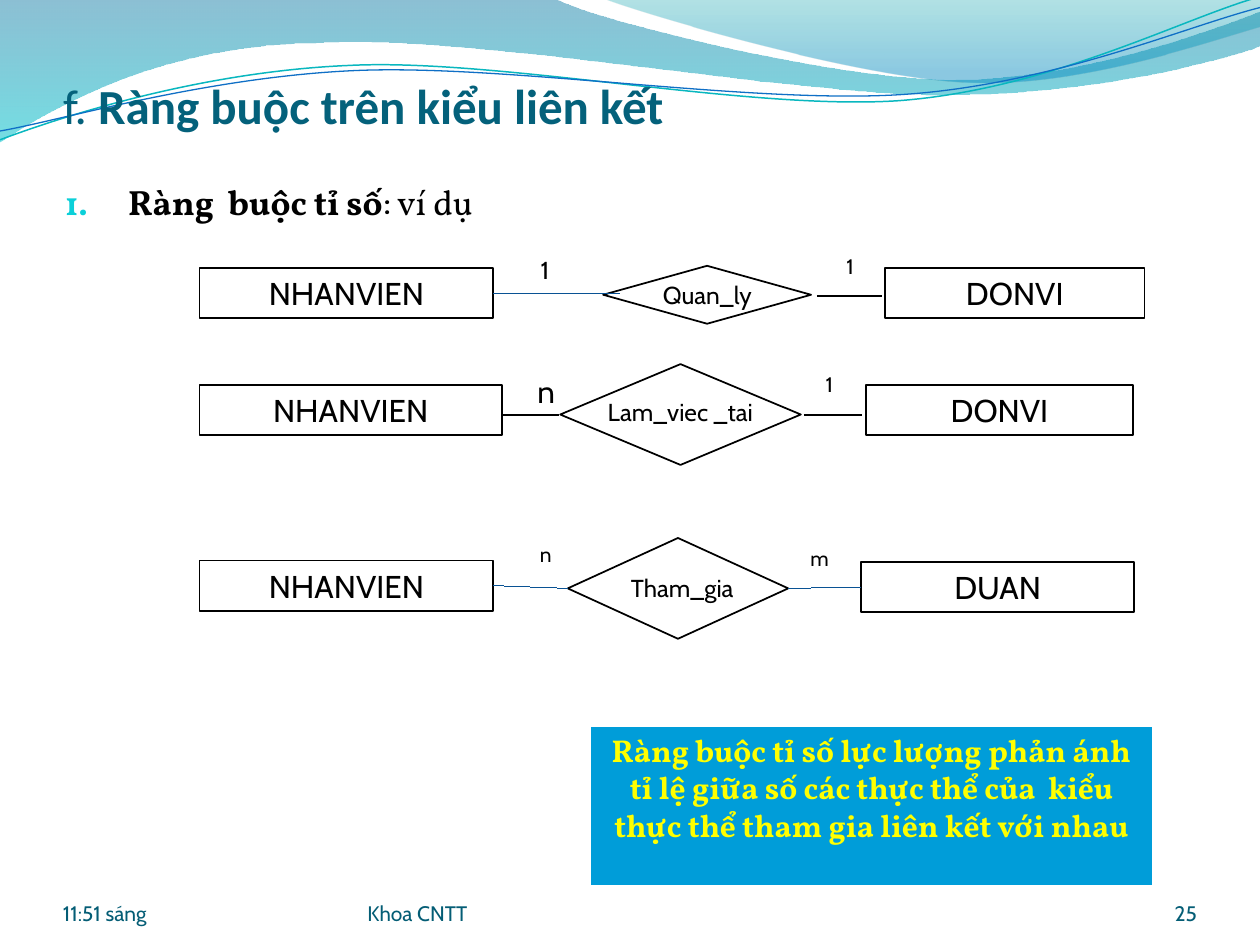
import pptx
import pptx.dml.color
import pptx.enum.shapes
import pptx.enum.text
import pptx.oxml.ns
import pptx.util
from lxml import etree

COLORS = {
    "black": "000000", "white": "FFFFFF", "title": "04617B", "footer": "045D75",
    "number": "0BD0D9", "thin": "095294", "note": "009DD9", "yellow": "FFFF00",
    "wave_blue": "0074A0", "wave_cyan": "00C4CD", "wave_teal": "00A0A8",
    "wave_sky": "008ABF", "curve_teal": "09B7BF", "curve_blue": "0F6FC6",
}
CELL = pptx.util.Inches(0.1)  # the slide is a grid of 100 columns by 75 rows
COLUMNS, ROWS = 100, 75
HAIRLINE = 0.01
ALIGN = pptx.enum.text.PP_ALIGN
ANCHOR = pptx.enum.text.MSO_ANCHOR
SHAPE = pptx.enum.shapes.MSO_SHAPE
LEFT, RIGHT = 1, 3  # connection sites
qn = pptx.oxml.ns.qn

# Waves: a start point, then lines (one point) and Bezier curves (three points)
BIG_WAVE = [(0, -0.1), [(44, -0.1)], [(47.6, 1.7), (66.4, 6.3), (75.8, 6.3)],
            [(85.3, 6.3), (95.8, 2.6), (100, 0.9)], [(100.1, 3.6)],
            [(98.3, 4.4), (87, 7.6), (74.6, 7.5)],
            [(62.2, 7.5), (38.2, 2.8), (25.7, 3.4)],
            [(12.9, 3.5), (4.6, 8.3), (-0.1, 11.3)]]
SMALL_WAVE = [(47.9, -0.1), [(50.9, 1.1), (68.2, 6.2), (76.9, 6.5)],
              [(85.6, 6.9), (96.1, 3.2), (100, 2.1)], [(100, 0)]]
TEAL_CURVE = [(0, 11.1), [(4.8, 9.3), (15.8, 5.7), (27.7, 5.2)],
              [(39.5, 4.6), (59.3, 8.8), (71.3, 8)],
              [(83.3, 7.1), (93.8, 1.5), (99.8, -0.2)]]
BLUE_CURVE = [(0, 10.4), [(4.7, 9.6), (16.4, 6.1), (28.3, 5.6)],
              [(40.3, 5.1), (59.7, 8.3), (71.7, 7.5)],
              [(83.6, 6.7), (94.1, 2.1), (100, 0.6)]]


def grid(*values):
    return [round(value * CELL) for value in values]


def rgb(name):
    return pptx.dml.color.RGBColor.from_string(COLORS[name])


def write(shape, text, size, font="Cabin", color="black", bold=False,
          align=ALIGN.CENTER, anchor=ANCHOR.TOP, margins=(1, 0.5, 1, 0.5)):
    """Write one paragraph; text is a string or a list of (text, bold) runs."""
    frame = shape.text_frame
    frame.word_wrap = True
    frame.auto_size = pptx.enum.text.MSO_AUTO_SIZE.NONE
    frame.vertical_anchor = anchor
    (frame.margin_left, frame.margin_top,
     frame.margin_right, frame.margin_bottom) = grid(*margins)
    paragraph = frame.paragraphs[0]
    paragraph.alignment = align
    paragraph.space_before = pptx.util.Pt(0)
    for words, is_bold in [(text, bold)] if isinstance(text, str) else text:
        run = paragraph.add_run()
        run.text = words
        run.font.name = font
        run.font.size = pptx.util.Pt(size)
        run.font.bold = is_bold
        run.font.color.rgb = rgb(color)
    return paragraph


def add_label(slide, box, text, size, **style):
    return write(slide.shapes.add_textbox(*grid(*box)), text, size, **style)


def add_box(slide, kind, box, fill=None, line="black", width=1):
    shape = slide.shapes.add_shape(kind, *grid(*box))
    shape.shadow.inherit = False
    if fill:
        shape.fill.solid()
        shape.fill.fore_color.rgb = rgb(fill)
    else:
        shape.fill.background()
    shape.line.color.rgb = rgb(line)
    shape.line.width = pptx.util.Pt(width)
    return shape


def add_link(slide, ends, color, width, begin=None, end=None):
    connector = slide.shapes.add_connector(
        pptx.enum.shapes.MSO_CONNECTOR.STRAIGHT, *grid(*ends))
    if begin is not None:
        connector.begin_connect(begin, RIGHT)
    if end is not None:
        connector.end_connect(end, LEFT)
    connector.line.color.rgb = rgb(color)
    connector.line.width = pptx.util.Pt(width)
    etree.SubElement(connector.element.spPr, qn("a:effectLst"))


def build_outline(slide, outline):
    """Build a freeform and join each three-point segment into a Bezier curve."""
    start, *segments = outline
    builder = slide.shapes.build_freeform(*grid(*start))
    points = [grid(*point) for segment in segments for point in segment]
    builder.add_line_segments(points, close=False)
    shape = builder.convert_to_shape()
    lines = iter(list(shape.element.spPr.iter(qn("a:lnTo"))))
    for segment in segments:
        first, *others = [next(lines) for _ in segment]
        if others:
            first.tag = qn("a:cubicBezTo")
        for other in others:
            first.append(other[0])
            other.getparent().remove(other)
    return shape


def add_wave(slide, outline, stops=None, line=None, width=0):
    """Draw a wave filled with (colour, position, opacity) stops, or a bare curve."""
    shape = build_outline(slide, outline)
    shape.shadow.inherit = False
    if not stops:
        shape.fill.background()
        shape.line.color.rgb = rgb(line)
        shape.line.width = pptx.util.Pt(width)
        return
    shape.fill.gradient()
    shape.fill.gradient_angle = 270
    for stop, (color, position, _) in zip(shape.fill.gradient_stops, stops):
        stop.color.rgb = rgb(color)
        stop.position = position
    color_elements = list(shape.element.spPr.iter(qn("a:srgbClr")))
    for element, (_, _, opacity) in zip(color_elements, stops):
        etree.SubElement(element, qn("a:alpha"), val=str(opacity * 1000))
    shape.line.fill.background()


def add_numbering(paragraph, color, percent):
    properties = paragraph._p.get_or_add_pPr()
    properties.set("marL", str(5 * CELL))
    properties.set("indent", str(-5 * CELL))
    bullet_color = etree.SubElement(properties, qn("a:buClr"))
    etree.SubElement(bullet_color, qn("a:srgbClr"), val=COLORS[color])
    etree.SubElement(properties, qn("a:buSzPct"), val=str(percent * 1000))
    etree.SubElement(properties, qn("a:buFontTx"))
    etree.SubElement(properties, qn("a:buAutoNum"), type="arabicPeriod")


def place(slide, placeholder, box):
    """Position a placeholder and bring it in front of what is drawn so far."""
    placeholder.left, placeholder.top, placeholder.width, placeholder.height = grid(*box)
    slide.shapes.element.append(placeholder.element)


def add_relation(slide, left, right, diamond, caption, links, counts):
    """Draw entity, relationship and entity with their links and cardinalities."""
    entities = []
    for name, box in (left, right):
        entities.append(add_box(slide, SHAPE.RECTANGLE, box))
        write(entities[-1], name, 18)
    decision = add_box(slide, SHAPE.FLOWCHART_DECISION, diamond)
    add_label(slide, caption[1], caption[0], 14)
    joints = {"left": entities[0], "middle": decision, "right": entities[1]}
    for ends, color, width, begin, end in links:
        add_link(slide, ends, color, width, joints.get(begin), joints.get(end))
    for text, box, size in counts:
        add_label(slide, box, text, size)


def main():
    presentation = pptx.Presentation()
    presentation.slide_width, presentation.slide_height = grid(COLUMNS, ROWS)
    slide = presentation.slides.add_slide(presentation.slide_layouts[1])

    # Wave decoration
    add_wave(slide, BIG_WAVE, [("wave_blue", 0, 45), ("wave_cyan", 1, 55)])
    add_wave(slide, SMALL_WAVE, [("wave_teal", 0, 30), ("wave_sky", 0.8, 45)])
    add_wave(slide, TEAL_CURVE, line="curve_teal", width=0.85)
    add_wave(slide, BLUE_CURVE, line="curve_blue", width=0.75)

    # Title and numbered heading
    title, body = slide.shapes.title, slide.placeholders[1]
    place(slide, title, (5, 3.9, 90, 6.8))
    write(title, [("f. ", False), ("Ràng buộc trên kiểu liên kết", True)], 28,
          font="Calibri", color="title", align=ALIGN.LEFT, anchor=ANCHOR.BOTTOM,
          margins=(0, 0.5, 0, 0))
    place(slide, body, (4.17, 14.2, 90, 55.8))
    heading = write(body, [("Ràng  buộc tỉ số", True), (": ví dụ", False)], 20,
                    font="Vollkorn", align=ALIGN.LEFT)
    heading.line_spacing = 0.9
    add_numbering(heading, "number", 95)

    # One-to-one, many-to-one and many-to-many relationships
    add_relation(
        slide, ("NHANVIEN", (15.83, 21.26, 23.33, 4)), ("DONVI", (70.24, 21.26, 20.6, 4)),
        (47.87, 21.1, 16.5, 4.6), ("Quan_ly", (48.3, 21.7, 15.7, 3.3)),
        [((39.16, 23.2, 49.2, 23.3), "thin", HAIRLINE, "left", None),
         ((64.84, 23.48, 70, 23.48), "black", 1, None, None)],
        [("1", (40.7, 19.75, 5.1, 3.3), 14), ("1", (65.83, 19.6, 3.3, 3), 12)])
    add_relation(
        slide, ("NHANVIEN", (15.83, 30.53, 24, 4)), ("DONVI", (68.72, 30.53, 21.2, 4)),
        (44.46, 28.9, 19.1, 8), ("Lam_viec _tai", (46.3, 31, 15.4, 3.3)),
        [((39.83, 32.95, 44.4, 32.95), "black", 1, None, None),
         ((63.8, 32.95, 68.4, 32.95), "black", 1, None, None)],
        [("n", (41.67, 29, 2.5, 4), 18), ("1", (64.17, 29.03, 3.3, 3), 12)])
    add_relation(
        slide, ("NHANVIEN", (15.83, 44.48, 23.33, 4)), ("DUAN", (68.33, 44.6, 21.7, 4)),
        (45.06, 42.7, 17.5, 8), ("Tham_gia", (46.65, 45, 15, 3.3)),
        [((39.16, 46.5, 45.1, 46.7), "thin", HAIRLINE, "left", "middle"),
         ((62.56, 46.7, 68.3, 46.6), "thin", HAIRLINE, "middle", "right")],
        [("n", (41.67, 42.5, 3.3, 3), 12), ("m", (63.33, 42.8, 3.3, 3), 12)])

    # Explanation
    note = add_box(slide, SHAPE.RECTANGLE, (46.67, 57.5, 45, 12.96), "note", "white", 3)
    write(note, "Ràng buộc tỉ số lực lượng phản ánh tỉ lệ giữa số các thực thể của  kiểu "
          "thực thể tham gia liên kết với nhau", 18,
          font="Vollkorn", color="yellow", bold=True)

    # Footer
    for text, left, width, align in (("11:51 sáng", 5, 23.33, ALIGN.LEFT),
                                     ("Khoa CNTT", 29.17, 36.67, ALIGN.LEFT),
                                     ("25", 86.67, 8.33, ALIGN.RIGHT)):
        add_label(slide, (left, 69.5, width, 4), text, 12, color="footer",
                  align=align, anchor=ANCHOR.BOTTOM, margins=(0, 0, 0, 0))

    presentation.save("out.pptx")


if __name__ == "__main__":
    main()
